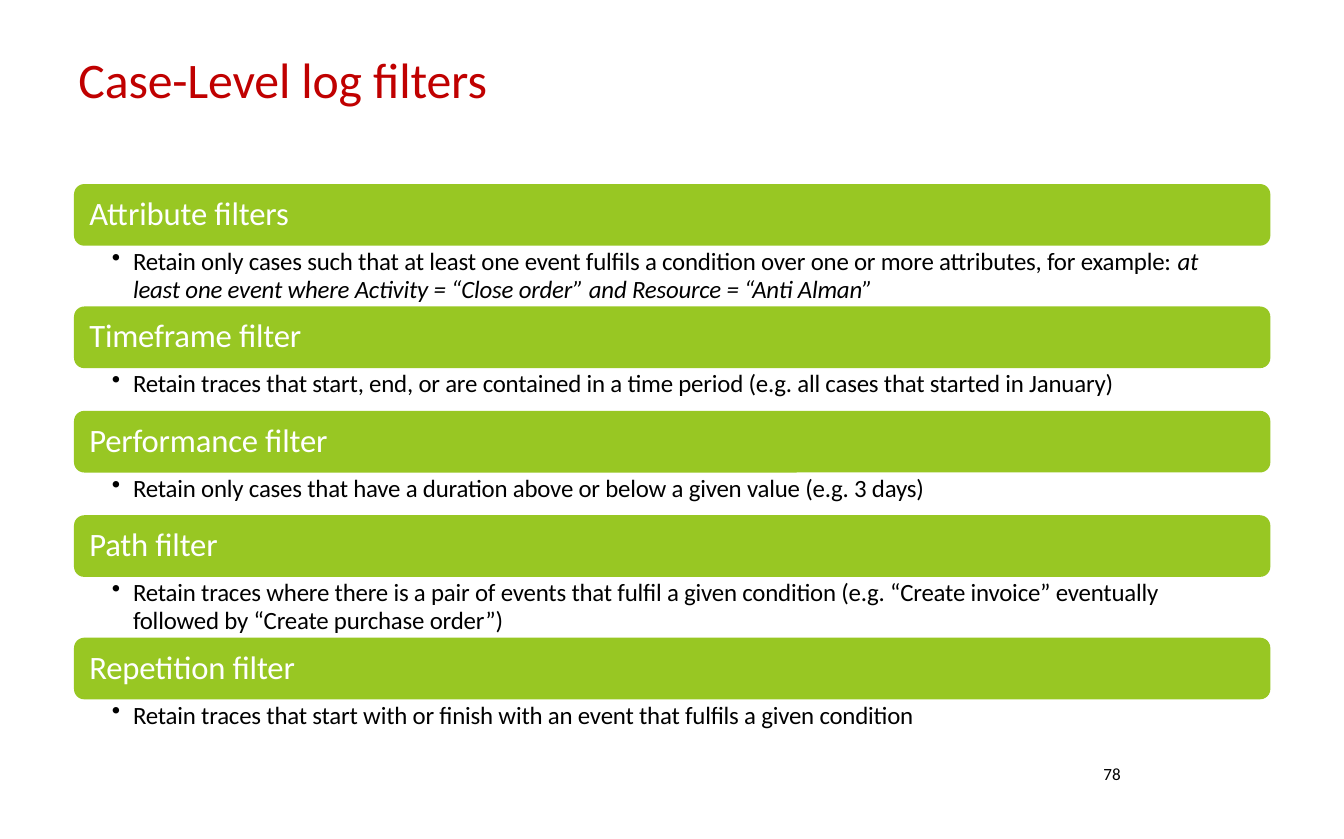
from pptx import Presentation
from pptx.dml.color import RGBColor
from pptx.enum.shapes import MSO_SHAPE
from pptx.enum.text import MSO_ANCHOR, MSO_AUTO_SIZE, PP_ALIGN
from pptx.oxml import parse_xml
from pptx.oxml.ns import nsdecls
from pptx.util import Cm, Pt

FONT = "Calibri"
RED, GREEN, WHITE, BLACK = "C00000", "98C723", "FFFFFF", "000000"
BAR_HEIGHT = 1.4
GAP_BY_LINES = {1: 0.97, 2: 1.38}

# Heading, description, italic example, lines the description takes
FILTERS = [
    ("Attribute filters",
     "Retain only cases such that at least one event fulfils a condition over "
     "one or more attributes, for example: ",
     "at least one event where Activity = “Close order” and Resource = “Anti Alman”", 2),
    ("Timeframe filter",
     "Retain traces that start, end, or are contained in a time period "
     "(e.g. all cases that started in January)", "", 1),
    ("Performance filter",
     "Retain only cases that have a duration above or below a given value "
     "(e.g. 3 days)", "", 1),
    ("Path filter",
     "Retain traces where there is a pair of events that fulfil a given condition "
     "(e.g. “Create invoice” eventually followed by “Create purchase order”)", "", 2),
    ("Repetition filter",
     "Retain traces that start with or finish with an event that fulfils "
     "a given condition", "", 1),
]


def color(hex_string):
    return RGBColor.from_string(hex_string)


def set_frame(frame, left=0, top=0, bottom=0, wrap=True, anchor=MSO_ANCHOR.TOP):
    settings = {
        "margin_left": Cm(left), "margin_top": Cm(top),
        "margin_right": 0, "margin_bottom": Cm(bottom),
        "word_wrap": wrap, "vertical_anchor": anchor,
        "auto_size": MSO_AUTO_SIZE.NONE,
    }
    for name, value in settings.items():
        setattr(frame, name, value)


def add_run(paragraph, text, size, hex_string, italic=False, spacing=-10):
    """Add a run; spacing is the tracking in hundredths of a point."""
    paragraph.alignment = PP_ALIGN.LEFT
    run = paragraph.add_run()
    run.text = text
    for name, value in {"name": FONT, "size": Pt(size), "italic": italic}.items():
        setattr(run.font, name, value)
    run.font.color.rgb = color(hex_string)
    run._r.get_or_add_rPr().set("spc", str(spacing))


def add_bullet(paragraph, indent, hanging):
    properties = paragraph._p.get_or_add_pPr()
    properties.set("marL", str(Cm(indent)))
    properties.set("indent", str(-Cm(hanging)))
    properties.append(parse_xml(f'<a:buChar {nsdecls("a")} char="•"/>'))


def place_title(slide, left, top, width, height):
    title = slide.shapes.title
    title.left, title.top, title.width, title.height = map(Cm, (left, top, width, height))
    set_frame(title.text_frame, top=0.06, wrap=False)
    add_run(title.text_frame.paragraphs[0], "Case-Level log filters", 32, RED)


def add_heading_bar(slide, heading, left, top, width):
    bar = slide.shapes.add_shape(MSO_SHAPE.ROUNDED_RECTANGLE, Cm(left), Cm(top),
                                 Cm(width), Cm(BAR_HEIGHT))
    bar.shadow.inherit = False
    bar.fill.solid()
    bar.fill.fore_color.rgb = color(GREEN)
    bar.line.fill.background()
    set_frame(bar.text_frame, left=0.28, bottom=0.11, anchor=MSO_ANCHOR.MIDDLE)
    add_run(bar.text_frame.paragraphs[0], heading, 21, WHITE)


def add_description(slide, text, example, left, top, width, height):
    box = slide.shapes.add_textbox(Cm(left), Cm(top), Cm(width), Cm(height))
    set_frame(box.text_frame, top=0.04)
    paragraph = box.text_frame.paragraphs[0]
    add_bullet(paragraph, 1.09, 0.48)
    paragraph.line_spacing = Pt(18)
    add_run(paragraph, text, 16, BLACK)
    if example:
        add_run(paragraph, example, 16, BLACK, italic=True)


def add_filter_list(slide, left, top, width):
    for heading, text, example, lines in FILTERS:
        gap = GAP_BY_LINES[lines]
        add_heading_bar(slide, heading, left, top, width)
        add_description(slide, text, example, left + 0.25, top + BAR_HEIGHT,
                        width - 1.37, gap)
        top += BAR_HEIGHT + gap


def add_page_number(slide, left, top, width, height):
    box = slide.shapes.add_textbox(Cm(left), Cm(top), Cm(width), Cm(height))
    set_frame(box.text_frame, left=0.1, top=0.04, wrap=False)
    add_run(box.text_frame.paragraphs[0], "78", 11, BLACK, spacing=0)


def main():
    prs = Presentation()
    prs.slide_width, prs.slide_height = Cm(30.5), Cm(19.05)
    slide = prs.slides.add_slide(prs.slide_layouts.get_by_name("Title Only"))
    place_title(slide, 1.78, 1.04, 9.42, 1.42)
    add_filter_list(slide, 1.68, 4.18, 27.15)
    add_page_number(slide, 24.94, 17.3, 0.58, 0.53)
    prs.save("out.pptx")


if __name__ == "__main__":
    main()
